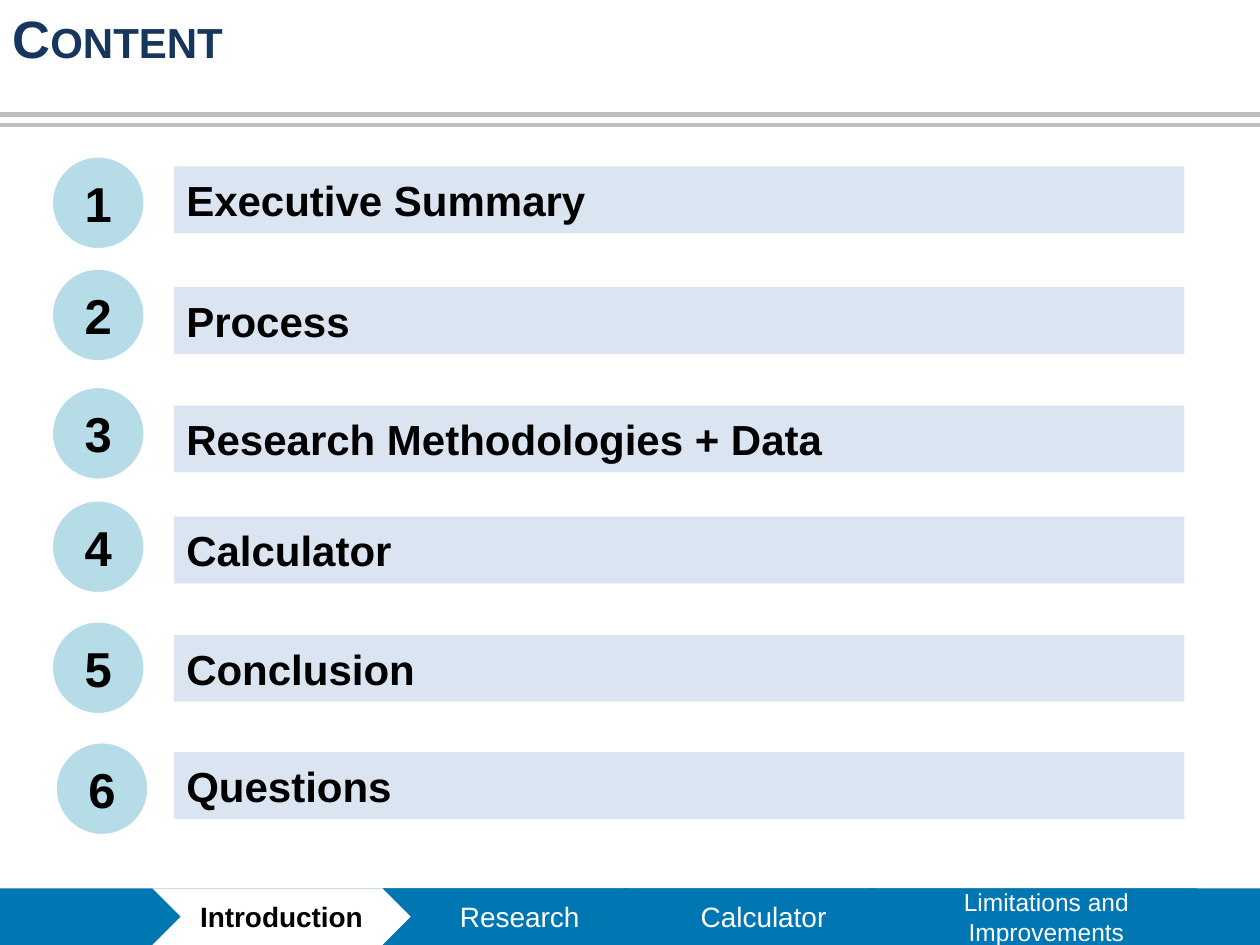
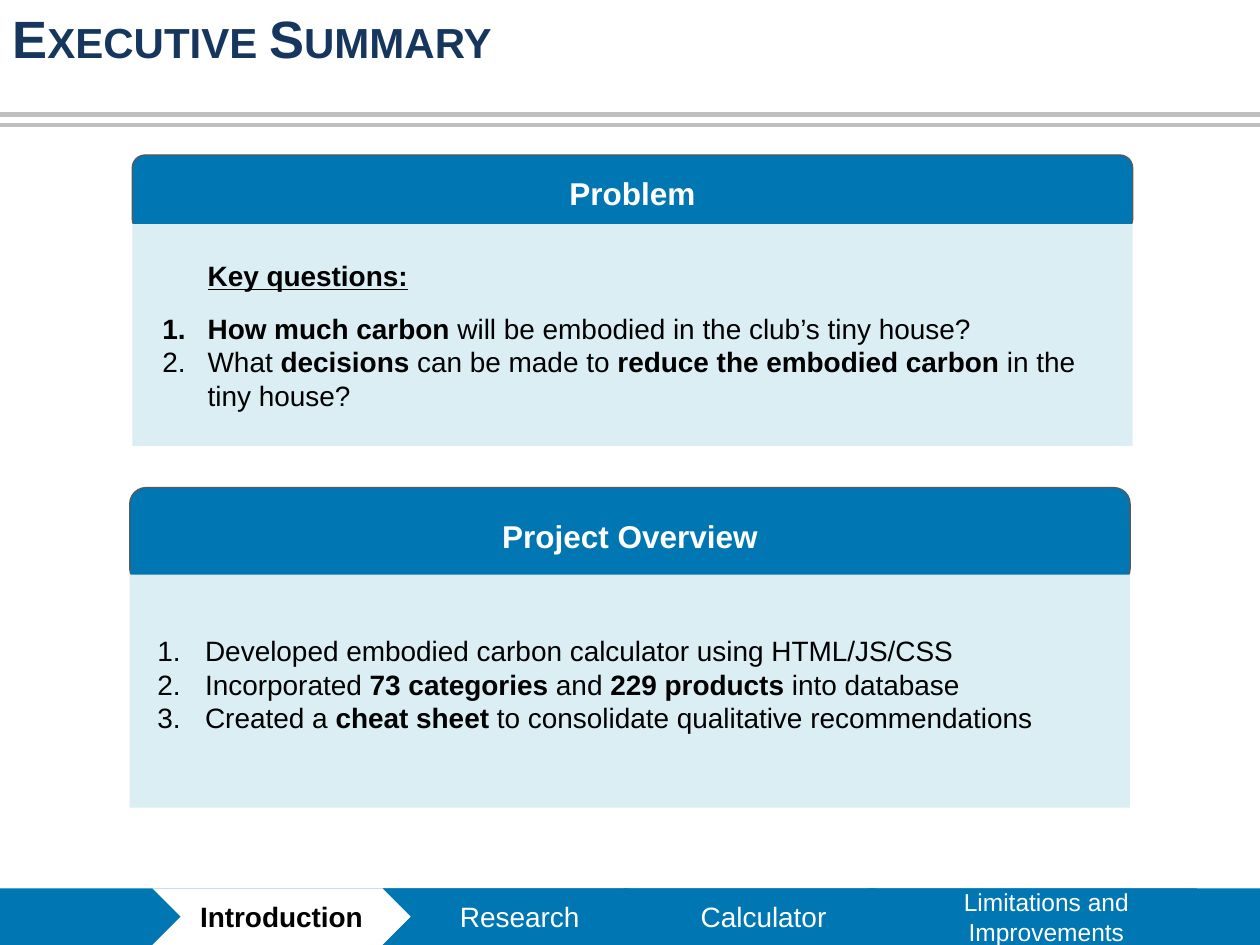
"""Build the content and executive summary slides of a carbon calculator deck."""
from lxml.etree import SubElement
from pptx import Presentation
from pptx.dml.color import RGBColor
from pptx.enum.shapes import MSO_CONNECTOR, MSO_SHAPE as SHAPE
from pptx.enum.text import MSO_ANCHOR as ANCHOR, PP_ALIGN as ALIGN
from pptx.oxml.ns import qn
from pptx.util import Inches, Pt

WHITE = RGBColor(0xFF, 0xFF, 0xFF)
BLACK = RGBColor(0x00, 0x00, 0x00)
BLUE = RGBColor(0x00, 0x77, 0xB3)
NAVY = RGBColor(0x17, 0x36, 0x5D)
RULE_GRAY = RGBColor(0xBF, 0xBF, 0xBF)
EDGE_GRAY = RGBColor(0x59, 0x59, 0x59)
BAR_BLUE = RGBColor(0xDA, 0xE5, 0xF1)
CIRCLE_BLUE = RGBColor(0x92, 0xCC, 0xDC)
PANEL_BLUE = RGBColor(0xDA, 0xEE, 0xF3)

TITLES = ["Content", "Executive Summary"]
TABS = [
    ("Introduction", 1.21, 2.05, WHITE, BLACK, 16, True),
    ("Research", 3.04, 2.17, BLUE, WHITE, 16, False),
    ("Calculator", 4.95, 2.22, BLUE, WHITE, 16, False),
    ("Limitations and Improvements", 6.89, 2.83, BLUE, WHITE, 14, False),
]
AGENDA = [
    ("Executive Summary", 0.4, 1.23, 1.32),
    ("Process", 0.4, 2.12, 2.28),
    ("Research Methodologies + Data", 0.4, 3.06, 3.22),
    ("Calculator", 0.4, 3.96, 4.1),
    ("Conclusion", 0.4, 4.92, 5.04),
    ("Questions", 0.43, 5.88, 5.97),
]
PANELS = [
    ("Problem", 1.05, 1.23, 0.61, 1.78, 1.76, 0.05, 0.36, "Key questions:", [
        "*How much carbon* will be embodied in the club’s tiny house?",
        "What *decisions* can be made to *reduce the embodied carbon* in the tiny house?",
    ]),
    ("Project Overview", 1.03, 3.87, 0.77, 4.56, 1.85, 0.16, 0.38, None, [
        "Developed embodied carbon calculator using HTML/JS/CSS",
        "Incorporated *73 categories* and *229 products* into database",
        "Created a *cheat sheet* to consolidate qualitative recommendations",
    ]),
]


def add_box(s, kind, at, fill, line=None, width=0):
    sp = s.shapes.add_shape(kind, *map(Inches, at))
    sp.shadow.inherit = False
    sp.fill.solid()
    sp.fill.fore_color.rgb = fill
    if line is None:
        sp.line.fill.background()
    else:
        sp.line.color.rgb = line
        sp.line.width = Pt(width)
    sp.text_frame.vertical_anchor = ANCHOR.MIDDLE
    return sp


def write(p, text, size, color=BLACK, bold=False, align=ALIGN.LEFT, underline=False):
    p.alignment = align
    for i, part in enumerate(text.split("*")):
        if part:
            r = p.add_run()
            r.text = part
            r.font.color.rgb = color
            fmt = {"name": "Arial", "size": Pt(size), "bold": bold or i % 2 == 1,
                   "underline": underline}
            for key, value in fmt.items():
                setattr(r.font, key, value)


prs = Presentation()
prs.slide_width, prs.slide_height = Inches(10), Inches(7.5)

for title in TITLES:
    s = prs.slides.add_slide(prs.slide_layouts[6])
    add_box(s, SHAPE.RECTANGLE, (0, 7.05, 10, 0.45), BLUE)
    for text, left, width, fill, color, size, bold in TABS:
        sp = add_box(s, SHAPE.CHEVRON, (left, 7.05, width, 0.45), fill)
        write(sp.text_frame.paragraphs[0], text, size, color, bold, ALIGN.CENTER)
    for y in (0.91, 0.99):
        rule = s.shapes.add_connector(MSO_CONNECTOR.STRAIGHT, Inches(10), Inches(y), 0, Inches(y))
        rule.line.color.rgb = RULE_GRAY
        rule.line.width = Pt(2.5)
        SubElement(rule._element.spPr, qn("a:effectLst"))
    tf = s.shapes.add_textbox(0, 0, Inches(6.19), Inches(0.61)).text_frame
    tf.word_wrap = True
    p = tf.paragraphs[0]
    write(p, title, 30, NAVY, True)
    p.runs[0].font._element.set("cap", "small")

content, summary = prs.slides

for number, (text, left, circle_top, bar_top) in enumerate(AGENDA, 1):
    bar = add_box(content, SHAPE.RECTANGLE, (1.38, bar_top, 8.02, 0.53), BAR_BLUE)
    write(bar.text_frame.paragraphs[0], text, 24, bold=True)
    circle = add_box(content, SHAPE.OVAL, (left, circle_top, 0.76, 0.76), CIRCLE_BLUE, WHITE, 3)
    fill_color = circle._element.spPr.find(qn("a:solidFill")).find(qn("a:srgbClr"))
    SubElement(fill_color, qn("a:alpha"), val="68000")
    write(circle.text_frame.paragraphs[0], str(number), 28, bold=True, align=ALIGN.CENTER)

for heading, left, top, height, body_top, body_height, bottom, hang, lead, items in PANELS:
    header = add_box(summary, SHAPE.ROUNDED_RECTANGLE, (left, top, 7.94, height), BLUE, EDGE_GRAY, 0.75)
    tf = header.text_frame
    tf.margin_top = tf.margin_bottom = Inches(0.1)
    write(tf.paragraphs[0], heading, 18, WHITE, True, ALIGN.CENTER)

    body = add_box(summary, SHAPE.RECTANGLE, (left, body_top, 7.94, body_height), PANEL_BLUE)
    tf = body.text_frame
    tf.margin_bottom = Inches(bottom)
    p = tf.paragraphs[0]
    if lead:
        write(p, lead, 16, bold=True, underline=True)
        p.space_after = Pt(11)
        p._p.get_or_add_pPr().set("indent", str(Inches(0.5)))
        p = tf.add_paragraph()
    for i, item in enumerate(items):
        if i:
            p = tf.add_paragraph()
        write(p, item, 16)
        pPr = p._p.get_or_add_pPr()
        pPr.set("marL", str(Inches(0.5)))
        pPr.set("indent", str(-Inches(hang)))
        SubElement(pPr, qn("a:buAutoNum"), type="arabicPeriod")

prs.save("out.pptx")
